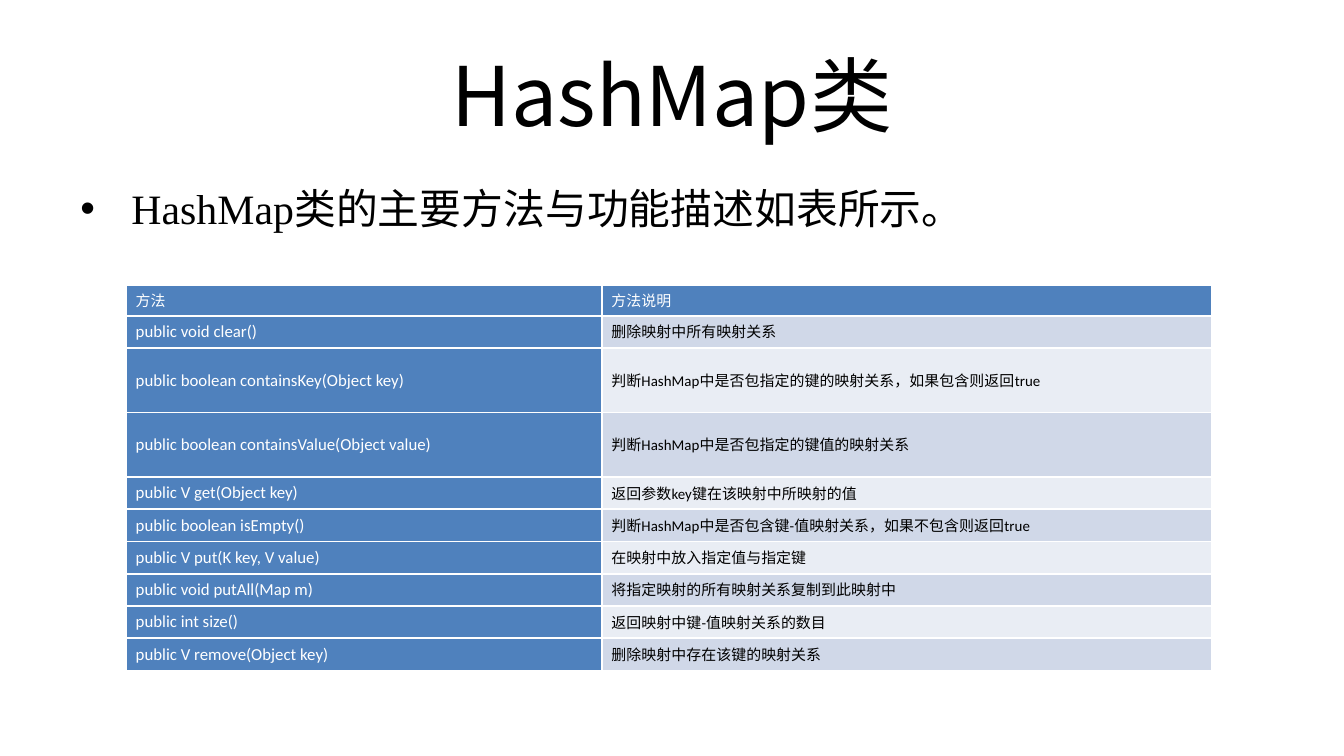
from lxml import etree
from pptx import Presentation, util as u
from pptx.dml.color import RGBColor
from pptx.enum import text as t
from pptx.oxml.ns import qn

TITLE = "HashMap类"
LEAD = "HashMap类的主要方法与功能描述如表所示。"
ROWS = [
    ("方法", "方法说明"),
    ("public void clear()", "删除映射中所有映射关系"),
    ("public boolean containsKey(Object key)",
     "判断HashMap中是否包指定的键的映射关系，如果包含则返回true"),
    ("public boolean containsValue(Object value)",
     "判断HashMap中是否包指定的键值的映射关系"),
    ("public V get(Object key)", "返回参数key键在该映射中所映射的值"),
    ("public boolean isEmpty()",
     "判断HashMap中是否包含键-值映射关系，如果不包含则返回true"),
    ("public V put(K key, V value)", "在映射中放入指定值与指定键"),
    ("public void putAll(Map m)", "将指定映射的所有映射关系复制到此映射中"),
    ("public int size()", "返回映射中键-值映射关系的数目"),
    ("public V remove(Object key)", "删除映射中存在该键的映射关系"),
]
TALL = (2, 3)
INK = {"black": "000000", "white": "FFFFFF", "head": "4F81BD",
       "odd": "D0D8E8", "even": "E9EDF4"}
CJK = "Noto Sans CJK SC"
WIDE = 10
HIGH = WIDE * 9 / 16
EDGE = WIDE * 0.05
UNIT = 0.24
COLS = (3.54, 4.54)


def write(frame, words, size, font=CJK, color="black", align=None,
          lead=None, bullet=None, indent=0):
    """Fill the first paragraph of a text frame with one formatted run."""
    frame.word_wrap = True
    para = frame.paragraphs[0]
    para.alignment = align
    if lead:
        para.line_spacing = u.Pt(lead)
    if bullet:
        props = para._p.get_or_add_pPr()
        props.set("marL", str(u.Inches(indent)))
        props.set("indent", str(-u.Inches(indent)))
        etree.SubElement(props, qn("a:buFont"), typeface="Arial")
        etree.SubElement(props, qn("a:buChar"), char=bullet)
    run = para.add_run()
    run.text = words
    run.font.size = u.Pt(size)
    run.font.name = font
    run.font.color.rgb = RGBColor.from_string(INK[color])
    etree.SubElement(run._r.get_or_add_rPr(), qn("a:ea"), typeface=CJK)


def box(slide, top, high, words, size, anchor=t.MSO_ANCHOR.TOP, **form):
    frame = slide.shapes.add_textbox(
        u.Inches(EDGE), u.Inches(top),
        u.Inches(WIDE - 2 * EDGE), u.Inches(high)).text_frame
    frame.vertical_anchor = anchor
    write(frame, words, size, **form)


def rule(cell, width=1):
    """Draw white lines on all four sides of a cell."""
    props = cell._tc.get_or_add_tcPr()
    for spot, side in enumerate(("lnL", "lnR", "lnT", "lnB")):
        line = etree.Element(qn("a:" + side), w=str(u.Pt(width)))
        fill = etree.SubElement(line, qn("a:solidFill"))
        etree.SubElement(fill, qn("a:srgbClr"), val=INK["white"])
        props.insert(spot, line)


def grid(slide, left, top):
    highs = [UNIT * (2 if i in TALL else 1) for i in range(len(ROWS))]
    highs[0] = 0.23
    table = slide.shapes.add_table(
        len(ROWS), len(COLS), u.Inches(left), u.Inches(top),
        u.Inches(sum(COLS)), u.Inches(sum(highs))).table
    for col, wide in zip(table.columns, COLS):
        col.width = u.Inches(wide)
    for i, (row, high) in enumerate(zip(ROWS, highs)):
        table.rows[i].height = u.Inches(high)
        for j, words in enumerate(row):
            cell = table.cell(i, j)
            blue = i == 0 or j == 0
            tone = "head" if blue else ("odd" if i % 2 else "even")
            cell.fill.solid()
            cell.fill.fore_color.rgb = RGBColor.from_string(INK[tone])
            cell.margin_left = cell.margin_right = u.Inches(0.07)
            cell.margin_top = cell.margin_bottom = 0
            cell.vertical_anchor = t.MSO_ANCHOR.MIDDLE
            write(cell.text_frame, words, 9 if i and j == 0 else 8,
                  font="Calibri", color="white" if blue else "black", lead=11)
            rule(cell)


def main():
    deck = Presentation()
    deck.slide_width, deck.slide_height = u.Inches(WIDE), u.Inches(HIGH)
    slide = deck.slides.add_slide(deck.slide_layouts[6])
    box(slide, 0.23, 0.94, TITLE, 44, anchor=t.MSO_ANCHOR.MIDDLE,
        align=t.PP_ALIGN.CENTER)
    box(slide, 1.31, 0.43, LEAD, 22.4, font="Times New Roman",
        bullet="•", indent=0.38)
    grid(slide, 0.94, 2.12)
    deck.save("out.pptx")


if __name__ == "__main__":
    main()
